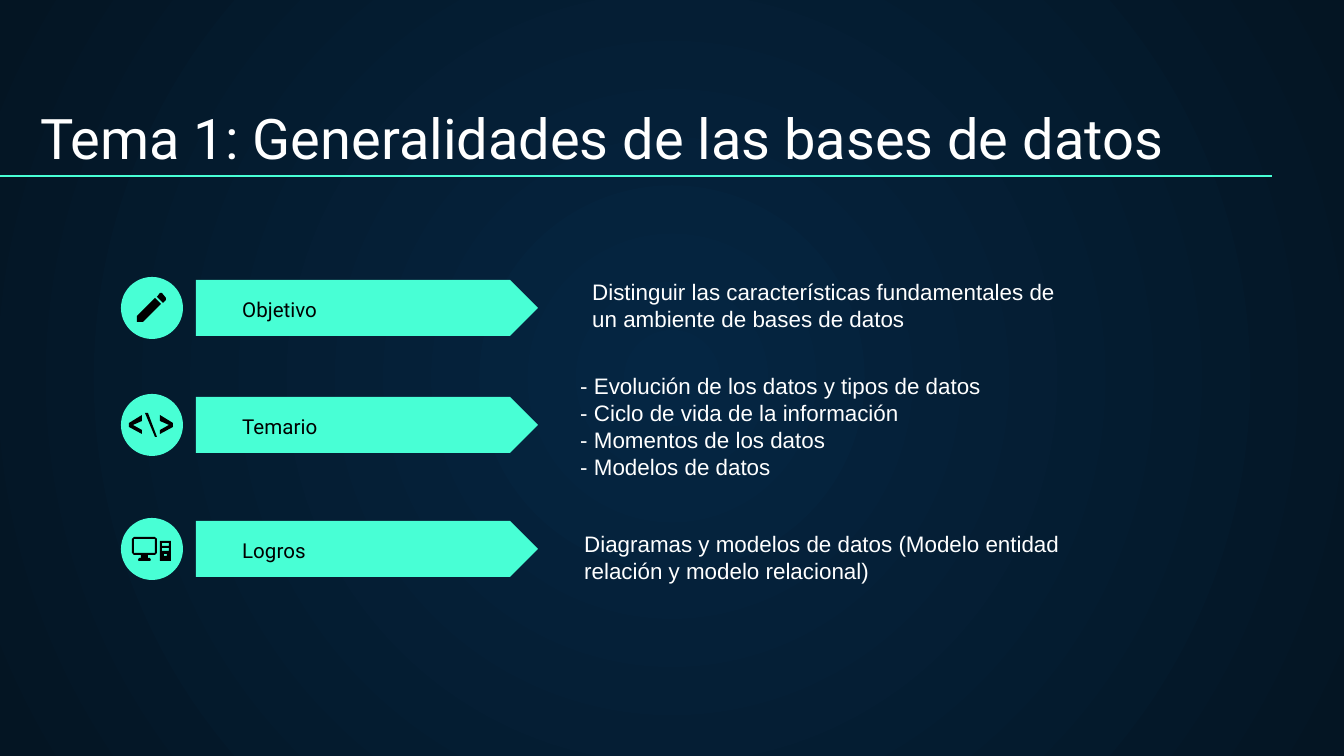
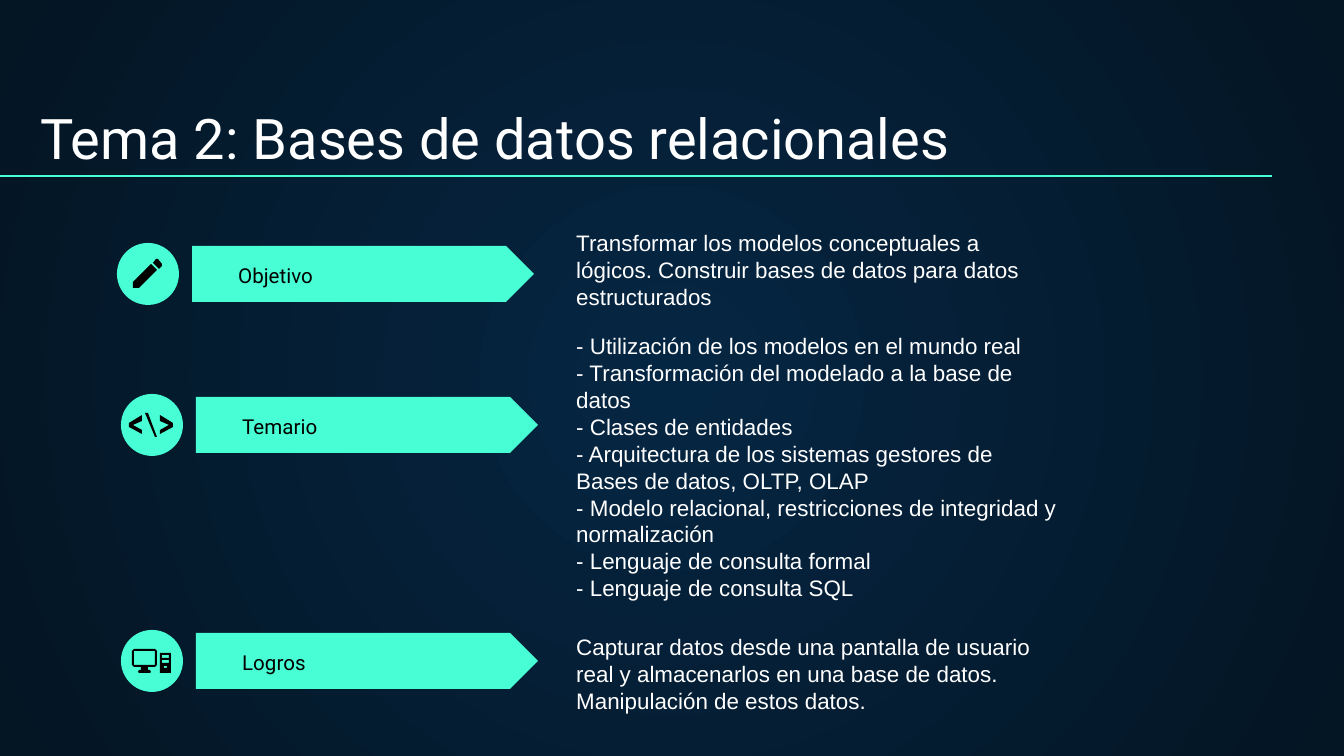
from dataclasses import dataclass

from lxml import etree
from pptx import Presentation
from pptx import util as u
from pptx.dml.color import RGBColor
from pptx.enum import shapes, text
from pptx.oxml.ns import qn

SCALE = 914400 / 134.4
WIDE, HIGH = 1344, 756
DISC = 62


@dataclass(frozen=True)
class Theme:
    """Colours, fonts and type sizes of the deck."""
    glow: str = "052643"
    night: str = "041523"
    mint: str = "48FFD5"
    white: str = "FFFFFF"
    black: str = "000000"
    head: str = "Roboto"
    body: str = "Arial"
    title: int = 30
    label: int = 11
    copy: int = 12
    pitch: float = 14.4


T = Theme()


def rect(left, top, right, low):
    """Return the corners of a rectangle."""
    return [(left, top), (right, top), (right, low), (left, low)]


# Each icon is a list of outlines, each outline a list of contours,
# in pixels from the top left corner of its disc.
LESS = [(21, 40), (8, 33), (8, 29), (21, 21), (21, 27), (12, 31), (21, 36)]
MORE = [(60 - x, y) for x, y in LESS]
SLASH = [(34, 43), (24, 19), (27, 19), (36, 43)]
SCREEN = [(13, 19), (34, 19), (36, 21), (36, 35), (34, 37), (27, 37), (27, 40),
          (29, 40), (30, 42), (29, 43), (18, 43), (17, 42), (18, 40), (20, 40),
          (20, 37), (13, 37), (11, 35), (11, 21)]
ICONS = {
    "Objetivo": [[
        [(39, 16), (36, 20), (42, 26), (45, 23), (45, 21), (41, 16)],
        [(34, 21), (16, 39), (16, 45), (22, 45), (40, 27)]]],
    "Temario": [[LESS], [SLASH], [MORE]],
    "Logros": [
        [rect(13, 21, 34, 35), SCREEN],
        [rect(41, 25, 48, 28), rect(41, 30, 48, 33), rect(43, 36, 46, 38),
         rect(39, 23, 50, 43)]],
}

# Row: label, disc left, disc top, text left, text top, lines of text
TOPICS = [
    ("Tema 1: Generalidades de las bases de datos", [
        ("Objetivo", 121, 277, 579, 265, [
            "Distinguir las características fundamentales de "
            "un ambiente de bases de datos"]),
        ("Temario", 121, 394, 567, 359, [
            "- Evolución de los datos y tipos de datos",
            "- Ciclo de vida de la información",
            "- Momentos de los datos",
            "- Modelos de datos"]),
        ("Logros", 121, 518, 571, 517, [
            "Diagramas y modelos de datos (Modelo entidad "
            "relación y modelo relacional)"]),
    ]),
    ("Tema 2: Bases de datos relacionales", [
        ("Objetivo", 117, 243, 563, 216, [
            "Transformar los modelos conceptuales a lógicos. "
            "Construir bases de datos para datos estructurados"]),
        ("Temario", 121, 394, 563, 319, [
            "- Utilización de los modelos en el mundo real",
            "- Transformación del modelado a la base de datos",
            "- Clases de entidades",
            "- Arquitectura de los sistemas gestores de "
            "Bases de datos, OLTP, OLAP",
            "- Modelo relacional, restricciones de integridad y normalización",
            "- Lenguaje de consulta formal",
            "- Lenguaje de consulta SQL"]),
        ("Logros", 121, 630, 563, 620, [
            "Capturar datos desde una pantalla de usuario real y almacenarlos "
            "en una base de datos. Manipulación de estos datos."]),
    ]),
]


def px(size):
    """Turn pixels into EMU."""
    return u.Emu(round(size * SCALE))


def rgb(code):
    """Turn a hex code into a colour."""
    return RGBColor.from_string(code)


def paint(shape, code):
    """Fill a shape flat, with no line and no shadow."""
    shape.shadow.inherit = False
    shape.fill.solid()
    shape.fill.fore_color.rgb = rgb(code)
    shape.line.fill.background()


def backdrop(slide):
    """Give the slide its round gradient."""
    fill = slide.background.fill
    fill.gradient()
    for stop, code in zip(fill.gradient_stops, (T.glow, T.night)):
        stop.color.rgb = rgb(code)
    grad = slide.element.find(".//" + qn("a:gradFill"))
    line = grad.find(qn("a:lin"))
    ring = etree.Element(qn("a:path"), {"path": "circle"})
    etree.SubElement(ring, qn("a:fillToRect"), dict.fromkeys("ltrb", "50000"))
    grad.replace(line, ring)


def write(slide, box, lines, font, size, code, low=False, pitch=None):
    """Add a text box with one paragraph a line."""
    frame = slide.shapes.add_textbox(*map(px, box)).text_frame
    frame.word_wrap = True
    frame.auto_size = text.MSO_AUTO_SIZE.NONE
    frame.vertical_anchor = text.MSO_ANCHOR.BOTTOM if low else text.MSO_ANCHOR.TOP
    frame.margin_left = frame.margin_right = u.Inches(0.1)
    frame.margin_top = frame.margin_bottom = u.Inches(0.1)
    frame.text = "\n".join(lines)
    for para in frame.paragraphs:
        if pitch:
            para.line_spacing = u.Pt(pitch)
        for run in para.runs:
            run.font.name = font
            run.font.size = u.Pt(size)
            run.font.color.rgb = rgb(code)


def block(slide, kind, box):
    """Add a mint preset shape."""
    shape = slide.shapes.add_shape(kind, *map(px, box))
    paint(shape, T.mint)


def icon(slide, left, top, parts):
    """Draw the outlines of an icon, grouped if there are several."""
    pool = slide.shapes
    if len(parts) > 1:
        pool = pool.add_group_shape().shapes
    for first, *rest in parts:
        pen = pool.build_freeform(*first[0], scale=SCALE)
        pen.add_line_segments(first[1:], close=True)
        for loop in rest:
            pen.move_to(*loop[0])
            pen.add_line_segments(loop[1:], close=True)
        paint(pen.convert_to_shape(px(left), px(top)), T.black)


def heading(slide, title):
    """Add the title and the rule under it."""
    write(slide, (27, 95, 1232, 89), [title], T.head, T.title, T.white, low=True)
    rule = slide.shapes.add_connector(
        shapes.MSO_CONNECTOR.STRAIGHT, px(0), px(176), px(1272), px(176))
    rule.line.color.rgb = rgb(T.mint)
    rule.line.width = u.Pt(0.75)
    props = rule.element.find(qn("p:spPr"))
    etree.SubElement(props, qn("a:effectLst"))


def entry(slide, label, left, top, across, down, lines):
    """Add one row: disc with icon, labelled arrow and text."""
    block(slide, shapes.MSO_SHAPE.PENTAGON, (left + 75, top + 3, 342, 56))
    block(slide, shapes.MSO_SHAPE.OVAL, (left, top, DISC, DISC))
    icon(slide, left, top, ICONS[label])
    write(slide, (left + 108, top + 30, 305, 28), [label],
          T.head, T.label, T.black, low=True)
    write(slide, (across, down, 508, 79), lines,
          T.body, T.copy, T.white, pitch=T.pitch)


def main():
    """Build the deck."""
    deck = Presentation()
    deck.slide_width, deck.slide_height = px(WIDE), px(HIGH)
    for title, rows in TOPICS:
        slide = deck.slides.add_slide(deck.slide_layouts[6])
        backdrop(slide)
        heading(slide, title)
        for row in rows:
            entry(slide, *row)
    deck.save("out.pptx")


main()
